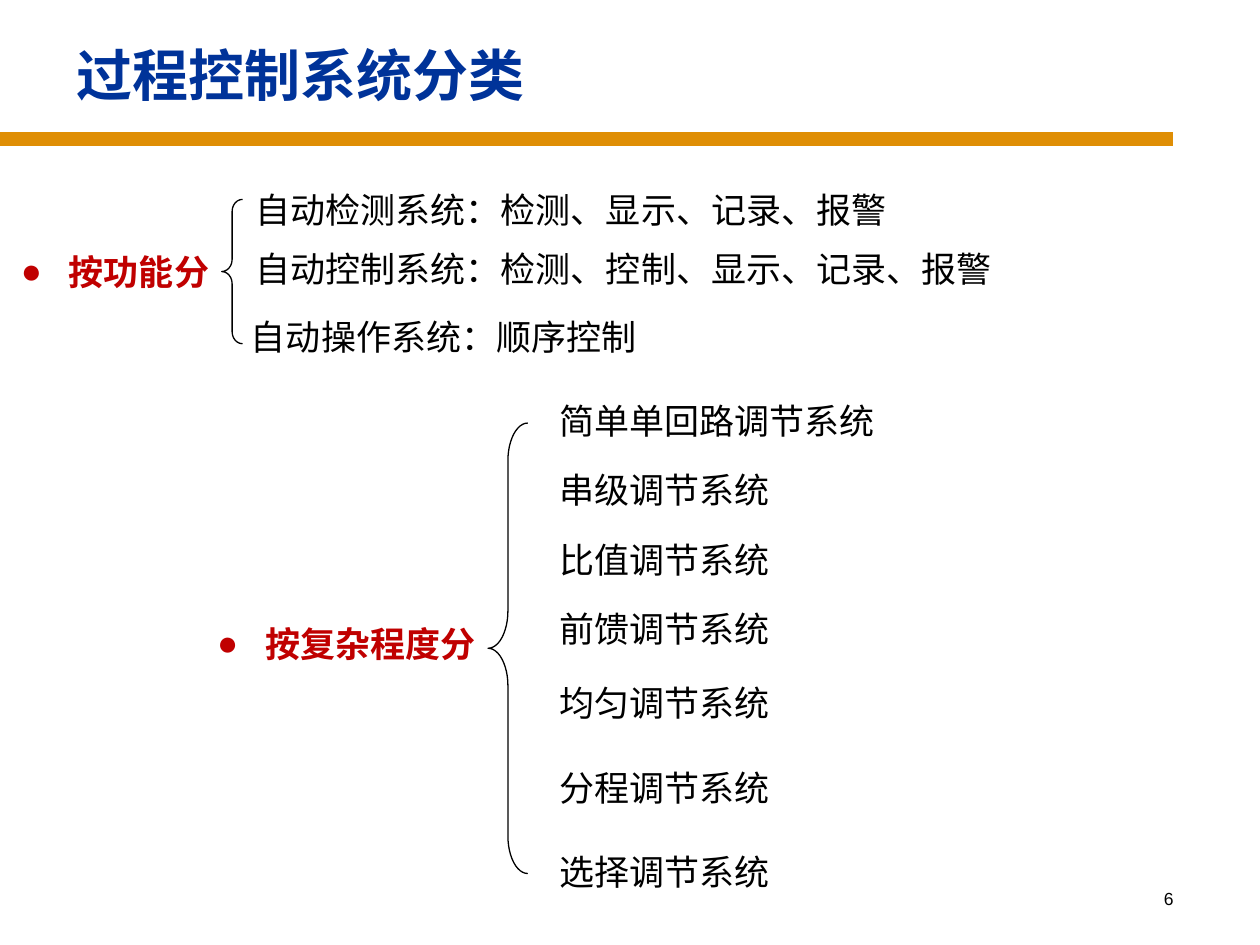
"""Build a slide that classifies process control systems in two braced lists."""
from lxml import etree
from pptx import Presentation
from pptx.dml.color import RGBColor
from pptx.enum.shapes import MSO_CONNECTOR, MSO_SHAPE
from pptx.enum.text import MSO_ANCHOR, MSO_AUTO_SIZE, PP_ALIGN
from pptx.oxml.ns import qn
from pptx.util import Cm, Pt

STRAIGHT = MSO_CONNECTOR.STRAIGHT
LEFT_BRACE = MSO_SHAPE.LEFT_BRACE
MIDDLE, TOP = MSO_ANCHOR.MIDDLE, MSO_ANCHOR.TOP
FIXED, GROW = MSO_AUTO_SIZE.NONE, MSO_AUTO_SIZE.SHAPE_TO_FIT_TEXT
LEFT, RIGHT = PP_ALIGN.LEFT, PP_ALIGN.RIGHT

BLACK, BLUE, RED, ORANGE = "000000", "003399", "C00000", "DF8E05"
LINE_HEIGHT = 1.11
CHARACTER_WIDTH = 0.71
SIDE_MARGINS = 0.53
BULLET_INDENT = 0.97

BODY = {"size": Pt(20), "name": "Times New Roman", "bold": False}
LABEL = {**BODY, "bold": True}
TITLE = {**LABEL, "size": Pt(32)}
NUMBER = {"size": Pt(10), "name": "Arial", "bold": False}

GROUPS = [
    {
        "label": ("按功能分", 0.17, 4.93),
        "brace": (4.47, 4.02, 0.42, 2.91),
        "items": [
            ("自动检测系统：检测、显示、记录、报警", 4.9, 3.67, None),
            ("自动控制系统：检测、控制、显示、记录、报警", 4.9, 4.87, 17.4),
            ("自动操作系统：顺序控制", 4.81, 6.23, 8.89),
        ],
    },
    {
        "label": ("按复杂程度分", 4.13, 12.42),
        "brace": (9.84, 8.53, 0.8, 9.08),
        "items": [
            ("简单单回路调节系统", 11.03, 7.92, None),
            ("串级调节系统", 11.03, 9.32, None),
            ("比值调节系统", 11.03, 10.73, None),
            ("前馈调节系统", 11.03, 12.12, None),
            ("均匀调节系统", 11.03, 13.62, None),
            ("分程调节系统", 11.03, 15.32, None),
            ("选择调节系统", 11.03, 17.02, None),
        ],
    },
]


def color(value):
    return RGBColor.from_string(value)


def add_text(slide, text, box, font_format, text_color, wrap=True, align=LEFT, anchor=TOP, sizing=FIXED):
    shape = slide.shapes.add_textbox(*map(Cm, box))
    frame = shape.text_frame
    frame_format = {"word_wrap": wrap, "vertical_anchor": anchor, "auto_size": sizing}
    for attribute, value in frame_format.items():
        setattr(frame, attribute, value)
    paragraph = frame.paragraphs[0]
    paragraph.alignment = align
    run = paragraph.add_run()
    run.text = text
    for attribute, value in font_format.items():
        setattr(run.font, attribute, value)
    run.font.color.rgb = color(text_color)
    return paragraph


def text_width(text):
    return len(text) * CHARACTER_WIDTH + SIDE_MARGINS


def add_label(slide, text, left, top):
    box = (left, top, text_width(text) + BULLET_INDENT, LINE_HEIGHT)
    paragraph = add_text(slide, text, box, LABEL, RED, wrap=False, sizing=GROW)
    properties = paragraph._p.get_or_add_pPr()
    properties.set("marL", str(Cm(BULLET_INDENT)))
    properties.set("indent", str(-Cm(BULLET_INDENT)))
    bullet_color = etree.SubElement(properties, qn("a:buClr"))
    etree.SubElement(bullet_color, qn("a:srgbClr"), val=RED)
    etree.SubElement(properties, qn("a:buFont"), typeface="Arial")
    etree.SubElement(properties, qn("a:buChar"), char="●")


def add_brace(slide, left, top, width, height):
    brace = slide.shapes.add_shape(LEFT_BRACE, *map(Cm, (left, top, width, height)))
    brace.shadow.inherit = False
    brace.adjustments[0] = height / 12 / width
    brace.fill.background()
    brace.line.color.rgb = color(BLACK)
    brace.line.width = Pt(0.75)


def add_rule(slide):
    rule = slide.shapes.add_connector(STRAIGHT, *map(Cm, (0, 2.8, 23.65, 2.8)))
    rule.line.color.rgb = color(ORANGE)
    rule.line.width = Pt(8)
    etree.SubElement(rule._element.spPr, qn("a:effectLst"))


def main():
    presentation = Presentation()
    presentation.slide_width, presentation.slide_height = Cm(25.4), Cm(19.05)
    slide = presentation.slides.add_slide(presentation.slide_layouts[6])
    add_rule(slide)
    add_text(slide, "6", (18.63, 17.78, 5.28, 1.27), NUMBER, BLACK, align=RIGHT)
    title = add_text(slide, "过程控制系统分类", (1.07, 0.43, 22.86, 2.13), TITLE, BLUE, anchor=MIDDLE)
    title._p.get_or_add_pPr().set("marL", str(Cm(0.23)))
    for group in GROUPS:
        add_label(slide, *group["label"])
        add_brace(slide, *group["brace"])
        for text, left, top, width in group["items"]:
            box = (left, top, width or text_width(text), LINE_HEIGHT)
            add_text(slide, text, box, BODY, BLACK, wrap=width is not None, sizing=GROW)
    presentation.save("out.pptx")


if __name__ == "__main__":
    main()
